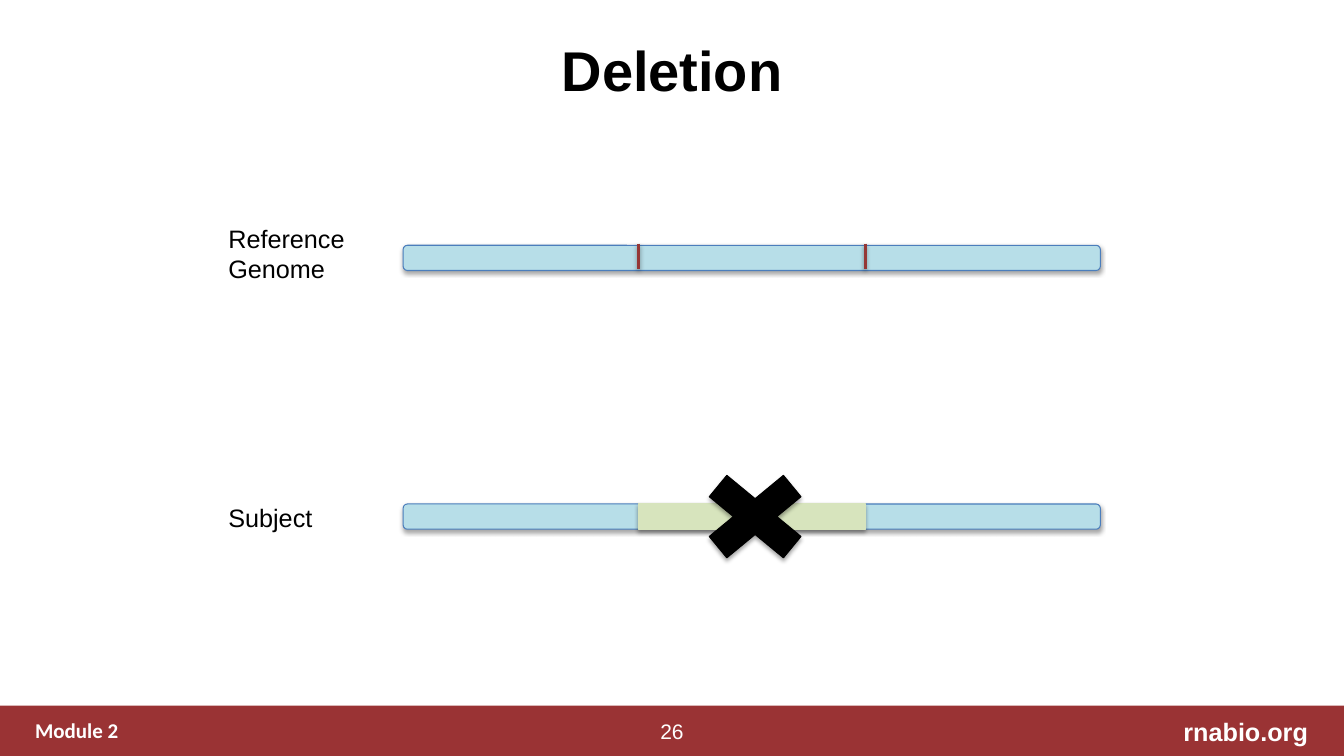
from dataclasses import dataclass

from lxml import etree
from pptx import Presentation
from pptx import util as u
from pptx.dml.color import RGBColor
from pptx.enum import shapes, text
from pptx.oxml import ns

COLUMNS, ROWS = 160, 90
SLIDE_WIDTH, SLIDE_HEIGHT = u.Inches(13.33), u.Inches(7.5)


@dataclass(frozen=True)
class Theme:
    font: str = "Arial"
    module_font: str = "Calibri"
    title_size: int = 40
    label_size: int = 18
    footer_size: int = 15
    black: str = "000000"
    white: str = "FFFFFF"
    footer: str = "9A3334"
    genome: str = "B7DEE8"
    genome_edge: str = "4B7EBC"
    deleted: str = "D7E4BD"
    breakpoint: str = "953735"


THEME = Theme()


def column(count):
    return round(SLIDE_WIDTH * count / COLUMNS)


def row(count):
    return round(SLIDE_HEIGHT * count / ROWS)


def box(left, top, width, height):
    return column(left), row(top), column(width), row(height)


def color(value):
    return RGBColor.from_string(value)


def add_shadow(shape, opacity=35, distance=1.8):
    effects = etree.SubElement(shape._element.spPr, ns.qn("a:effectLst"))
    shadow = etree.SubElement(
        effects, ns.qn("a:outerShdw"), blurRad=str(u.Pt(3.1)),
        dist=str(u.Pt(distance)), dir="5400000", rotWithShape="0")
    shade = etree.SubElement(shadow, ns.qn("a:srgbClr"), val=THEME.black)
    etree.SubElement(shade, ns.qn("a:alpha"), val=str(opacity * 1000))


def add_block(slide, kind, area, fill, edge=None):
    shape = slide.shapes.add_shape(kind, *box(*area))
    shape.fill.solid()
    shape.fill.fore_color.rgb = color(fill)
    if edge:
        shape.line.color.rgb = color(edge)
        shape.line.width = u.Pt(0.75)
        add_shadow(shape)
    else:
        shape.line.fill.background()
        shape.shadow.inherit = False


def format_text(shape, words, size, ink=THEME.black, bold=False,
                font=THEME.font, align=text.PP_ALIGN.LEFT):
    shape.text_frame.text = words
    paragraph = shape.text_frame.paragraphs[0]
    paragraph.alignment = align
    paragraph.font.name = font
    paragraph.font.size = u.Pt(size)
    paragraph.font.bold = bold
    paragraph.font.color.rgb = color(ink)


def add_text(slide, area, words, size, wrap=True, **style):
    shape = slide.shapes.add_textbox(*box(*area))
    shape.text_frame.word_wrap = wrap
    format_text(shape, words, size, **style)


def add_title(slide, words):
    title = slide.shapes.title
    title.left, title.top, title.width, title.height = box(22, 0.7, 116, 15)
    title.text_frame.vertical_anchor = text.MSO_ANCHOR.MIDDLE
    format_text(title, words, THEME.title_size, bold=True,
                align=text.PP_ALIGN.CENTER)


def add_footer(slide):
    add_block(slide, shapes.MSO_SHAPE.RECTANGLE, (0, 84, COLUMNS, 6), THEME.footer)
    add_text(slide, (3, 84.8, 117.4, 4.2), "Module 2", THEME.footer_size,
             ink=THEME.white, bold=True, font=THEME.module_font)
    add_text(slide, (115.6, 84.7, 41.3, 4.8), "rnabio.org", THEME.label_size,
             ink=THEME.white, bold=True, align=text.PP_ALIGN.RIGHT)
    add_text(slide, (77.25, 85, 5.5, 4.2), "26", THEME.footer_size, wrap=False,
             ink=THEME.white, align=text.PP_ALIGN.CENTER)


def add_genome(slide, top):
    add_block(slide, shapes.MSO_SHAPE.ROUNDED_RECTANGLE, (48, top, 83, 3),
              THEME.genome, THEME.genome_edge)


def add_breakpoint(slide, left, top):
    tick = slide.shapes.add_connector(
        shapes.MSO_CONNECTOR.STRAIGHT,
        column(left), row(top), column(left), row(top + 3))
    tick.line.color.rgb = color(THEME.breakpoint)
    tick.line.width = u.Pt(2)
    add_shadow(tick, opacity=38, distance=1.6)


def main():
    presentation = Presentation()
    presentation.slide_width, presentation.slide_height = SLIDE_WIDTH, SLIDE_HEIGHT
    slide = presentation.slides.add_slide(presentation.slide_layouts[5])
    deletion_start, deletion_width = 76, 27
    reference_top, subject_top = 29.2, 60

    add_footer(slide)
    add_title(slide, "Deletion")

    add_text(slide, (26, 26, 17, 8.5), "Reference Genome", THEME.label_size)
    add_genome(slide, reference_top)

    add_genome(slide, subject_top)
    add_block(slide, shapes.MSO_SHAPE.RECTANGLE,
              (deletion_start, subject_top, deletion_width, 3),
              THEME.deleted, THEME.deleted)
    add_text(slide, (26, 59.2, 17, 4.8), "Subject", THEME.label_size)
    add_block(slide, shapes.MSO_SHAPE.MATH_MULTIPLY, (81.4, 54.5, 17, 14),
              THEME.black, THEME.black)

    for left in (deletion_start, deletion_start + deletion_width):
        add_breakpoint(slide, left, reference_top - 0.2)

    presentation.save("out.pptx")


if __name__ == "__main__":
    main()
